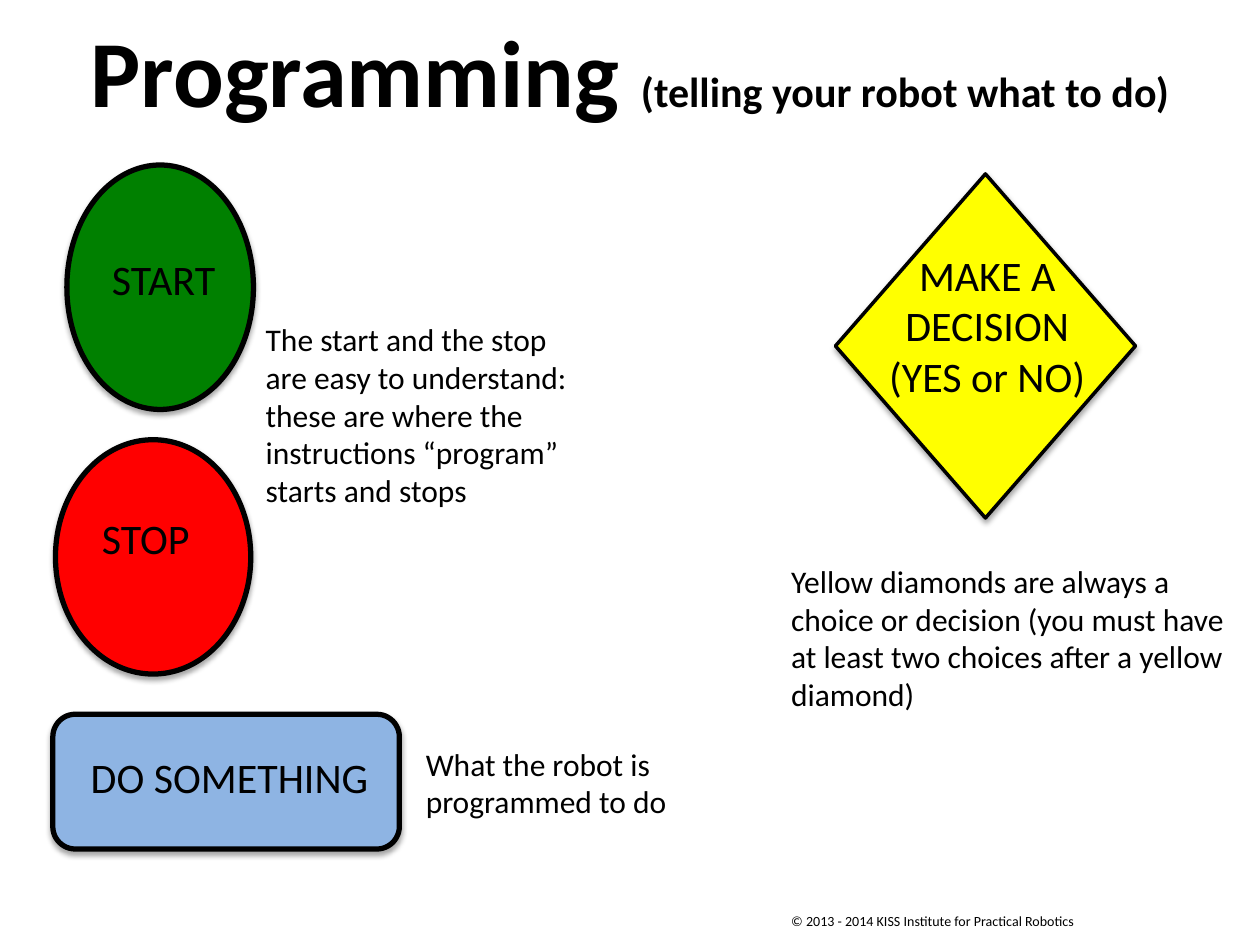
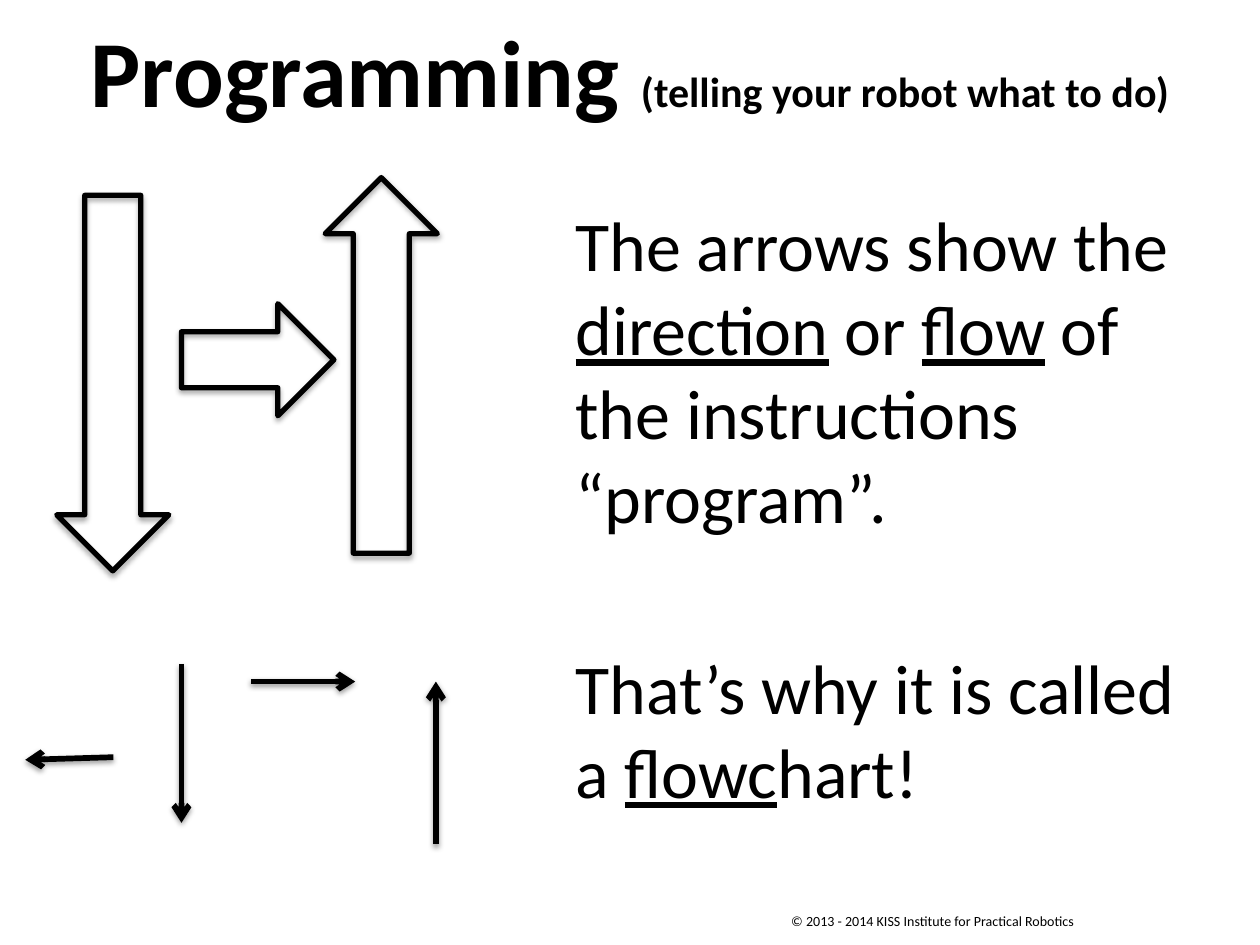
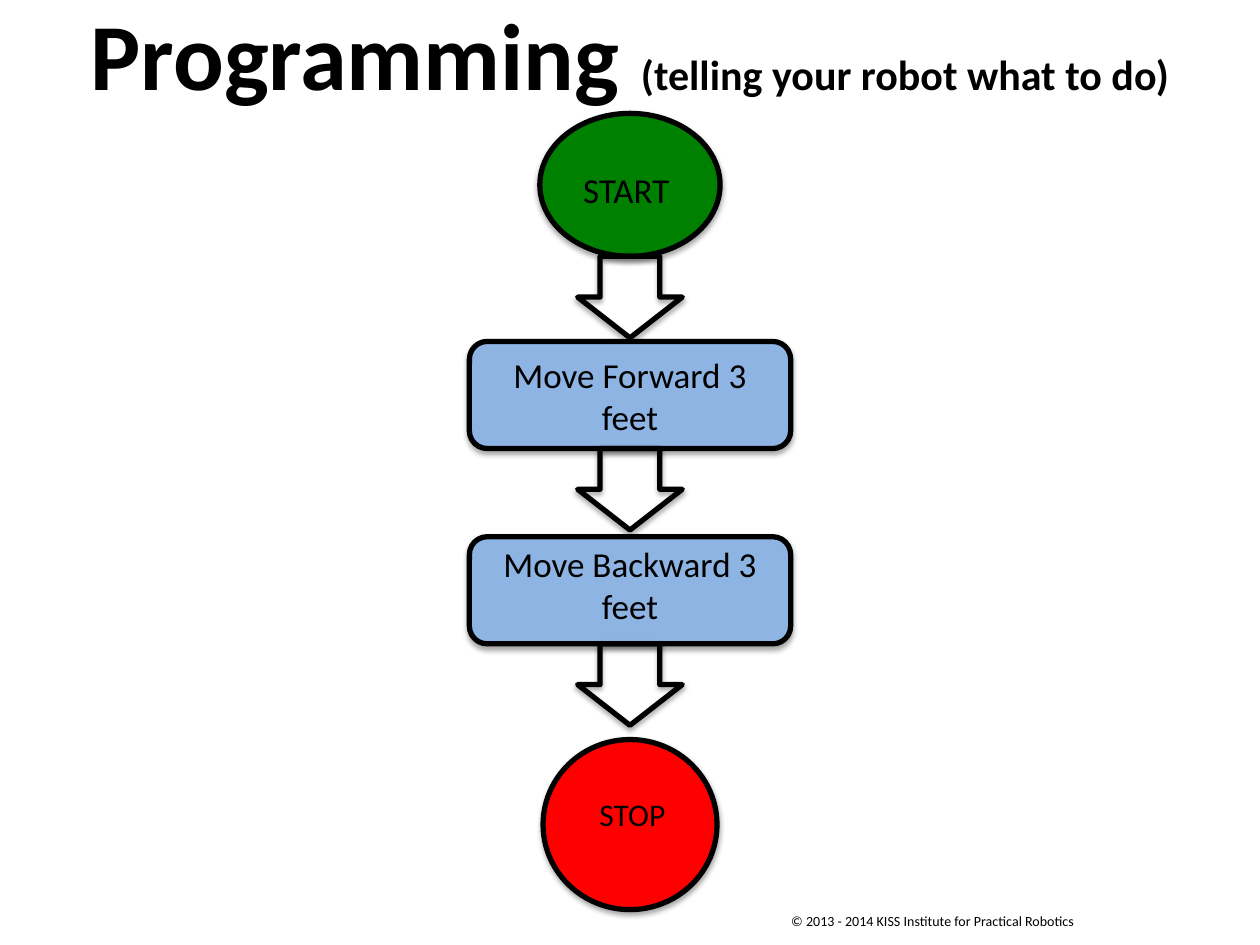
from lxml import etree
from pptx import Presentation
from pptx.dml.color import RGBColor
from pptx.enum.shapes import MSO_CONNECTOR, MSO_SHAPE
from pptx.enum.text import MSO_AUTO_SIZE, PP_ALIGN
from pptx.oxml.ns import qn
from pptx.util import Pt

OVAL = MSO_SHAPE.OVAL
DIAMOND = MSO_SHAPE.DIAMOND
ROUNDED = MSO_SHAPE.ROUNDED_RECTANGLE
DOWN_ARROW = MSO_SHAPE.DOWN_ARROW
STRAIGHT = MSO_CONNECTOR.STRAIGHT
LEFT, CENTER = PP_ALIGN.LEFT, PP_ALIGN.CENTER
GROW = MSO_AUTO_SIZE.SHAPE_TO_FIT_TEXT

COLORS = {
    "ink": "000000",
    "start": "008000",
    "stop": "FF0000",
    "action": "8EB4E3",
    "decision": "FFFF00",
}
FONT = "Calibri"
FLOW_CENTER = 360
FLOW_ARROW = (59.8, 46.6)


def color(name):
    return RGBColor.from_string(COLORS[name])


def add_shadow(shape, opacity, distance):
    """Append a soft downward shadow; fill and line must be set before."""
    effects = etree.SubElement(shape.element.spPr, qn("a:effectLst"))
    shadow = etree.SubElement(
        effects, qn("a:outerShdw"), blurRad=str(Pt(3.1)), dist=str(Pt(distance)),
        dir="5400000", rotWithShape="0")
    ink = etree.SubElement(shadow, qn("a:srgbClr"), val=COLORS["ink"])
    etree.SubElement(ink, qn("a:alpha"), val=str(opacity * 1000))


def add_text(shapes, box, paragraphs, size, align=LEFT, wrap=True, gap=0):
    """Each paragraph is a string or a list of (text, font settings) runs."""
    textbox = shapes.add_textbox(*map(Pt, box))
    frame = textbox.text_frame
    frame.word_wrap = wrap
    frame.auto_size = GROW
    for index, content in enumerate(paragraphs):
        paragraph = frame.add_paragraph() if index else frame.paragraphs[0]
        paragraph.alignment = align
        if index and gap:
            paragraph.space_before = Pt(gap)
        runs = [(content, {})] if isinstance(content, str) else content
        for text, settings in runs:
            run = paragraph.add_run()
            run.text = text
            run.font.name = FONT
            run.font.size = Pt(size)
            run.font.color.rgb = color("ink")
            for setting, value in settings.items():
                setattr(run.font, setting, value)


def add_outlined(shapes, kind, box, fill=None, line=3):
    shape = shapes.add_shape(kind, *map(Pt, box))
    if fill:
        shape.fill.solid()
        shape.fill.fore_color.rgb = color(fill)
    else:
        shape.fill.background()
    shape.line.color.rgb = color("ink")
    shape.line.width = Pt(line)
    add_shadow(shape, 35, 1.8)
    return shape


def add_symbol(slide, kind, box, fill, label_box, label, size=24, align=LEFT, line=3):
    """Group a flowchart symbol with its label."""
    group = slide.shapes.add_group_shape()
    add_outlined(group.shapes, kind, box, fill, line)
    add_text(group.shapes, label_box, label, size, align)


def add_block_arrow(slide, box, rotation=0, shaft=0.5):
    arrow = add_outlined(slide.shapes, DOWN_ARROW, box)
    arrow.rotation = rotation
    arrow.adjustments[0] = shaft


def add_line_arrow(slide, ends):
    arrow = slide.shapes.add_connector(STRAIGHT, *map(Pt, ends))
    arrow.line.color.rgb = color("ink")
    arrow.line.width = Pt(3.25)
    line = arrow.element.spPr.find(qn("a:ln"))
    etree.SubElement(line, qn("a:tailEnd"), type="arrow")
    add_shadow(arrow, 38, 1.6)


def add_base_slide(deck, title_top=3.6):
    """Add a slide with the common title and copyright line."""
    slide = deck.slides.add_slide(deck.slide_layouts[6])
    add_text(slide.shapes, (445, 517.7, 179.3, 17.3),
             ["© 2013 - 2014 KISS Institute for Practical Robotics"], 8, wrap=False)
    title = [("Programming ", {"bold": True}),
             ("(telling your robot what to do)", {"bold": True, "size": Pt(24)})]
    add_text(slide.shapes, (39.6, title_top, 640.8, 72.7), [title], 54, CENTER, wrap=False)
    return slide


def build_symbols(deck):
    slide = add_base_slide(deck)
    add_symbol(slide, OVAL, (38.2, 94.3, 106.6, 139.7), "start",
               (56.9, 141.1, 79.2, 37.4), ["START"])
    add_symbol(slide, OVAL, (31.7, 251.3, 111.6, 133.9), "stop",
               (51.1, 289.4, 82.8, 26.6), ["STOP"])
    add_symbol(slide, DIAMOND, (477.4, 99.4, 171.4, 196.6), "decision",
               (493.9, 139, 140.4, 102.2), ["MAKE A DECISION", "(YES or NO)"],
               align=CENTER, line=2)
    add_symbol(slide, ROUNDED, (30.2, 408.2, 198, 77), "action",
               (38.2, 426.2, 185.8, 16.6), ["DO SOMETHING"], align=CENTER)
    explanations = [
        ((144.7, 179.3, 188.6, 116.6),
         "The start and the stop are easy to understand: these are where "
         "the instructions “program” starts and stops"),
        ((236.2, 421.9, 188.6, 51.1), "What the robot is programmed to do"),
        ((445, 317.5, 263.5, 94.3),
         "Yellow diamonds are always a choice or decision (you must have "
         "at least two choices after a yellow diamond)"),
    ]
    for box, text in explanations:
        add_text(slide.shapes, box, [text], 18)


def build_arrows(deck):
    slide = add_base_slide(deck)
    underlined = {"underline": True}
    direction = [("The arrows show the ", {}), ("direction", underlined), (" or ", {}),
                 ("flow", underlined), (" of the instructions “program”.", {})]
    flowchart = [("That’s why it is called a ", {}), ("flowc", underlined), ("hart!", {})]
    add_text(slide.shapes, (321.8, 111.6, 382.3, 406.8), [direction, flowchart], 40, gap=61)
    add_block_arrow(slide, (32.4, 111.6, 64.1, 214.6))
    add_block_arrow(slide, (185.8, 101.5, 64.1, 214.6), rotation=180)
    add_block_arrow(slide, (115.2, 162, 64.1, 87.1), rotation=270)
    for ends in [(103.7, 379.4, 103.7, 470.2), (143.3, 389.5, 203, 389.5),
                 (249.1, 482.4, 249.1, 389.5), (64.8, 432.7, 14.4, 434.2)]:
        add_line_arrow(slide, ends)


def build_flowchart(deck):
    slide = add_base_slide(deck, title_top=-5.8)
    # kind, fill, top, width, height, label, label left, top, width, size, alignment
    steps = [
        (OVAL, "start", 64.8, 103, 81.7, "START", 326.2, 92.9, 76.3, 20, LEFT),
        (ROUNDED, "action", 195.1, 183.6, 61.2, "Move Forward 3 feet",
         273.6, 198.7, 172.8, 20, CENTER),
        (ROUNDED, "action", 306.7, 183.6, 61.2, "Move Backward 3 feet",
         273.6, 306.7, 172.8, 20, CENTER),
        (OVAL, "stop", 422.6, 99.4, 97.2, "STOP", 335.5, 450.7, 74.2, 18, LEFT),
    ]
    arrow_width, arrow_height = FLOW_ARROW
    for index, step in enumerate(steps):
        kind, fill, top, width, height, label, label_left, label_top, label_width, size, align = step
        add_symbol(slide, kind, (FLOW_CENTER - width / 2, top, width, height), fill,
                   (label_left, label_top, label_width, 20), [label], size, align)
        if index < len(steps) - 1:
            add_block_arrow(slide, (FLOW_CENTER - arrow_width / 2, top + height,
                                    arrow_width, arrow_height), shaft=0.57)


def main():
    deck = Presentation()
    deck.slide_width, deck.slide_height = Pt(720), Pt(540)
    build_symbols(deck)
    build_arrows(deck)
    build_flowchart(deck)
    deck.save("out.pptx")


if __name__ == "__main__":
    main()
